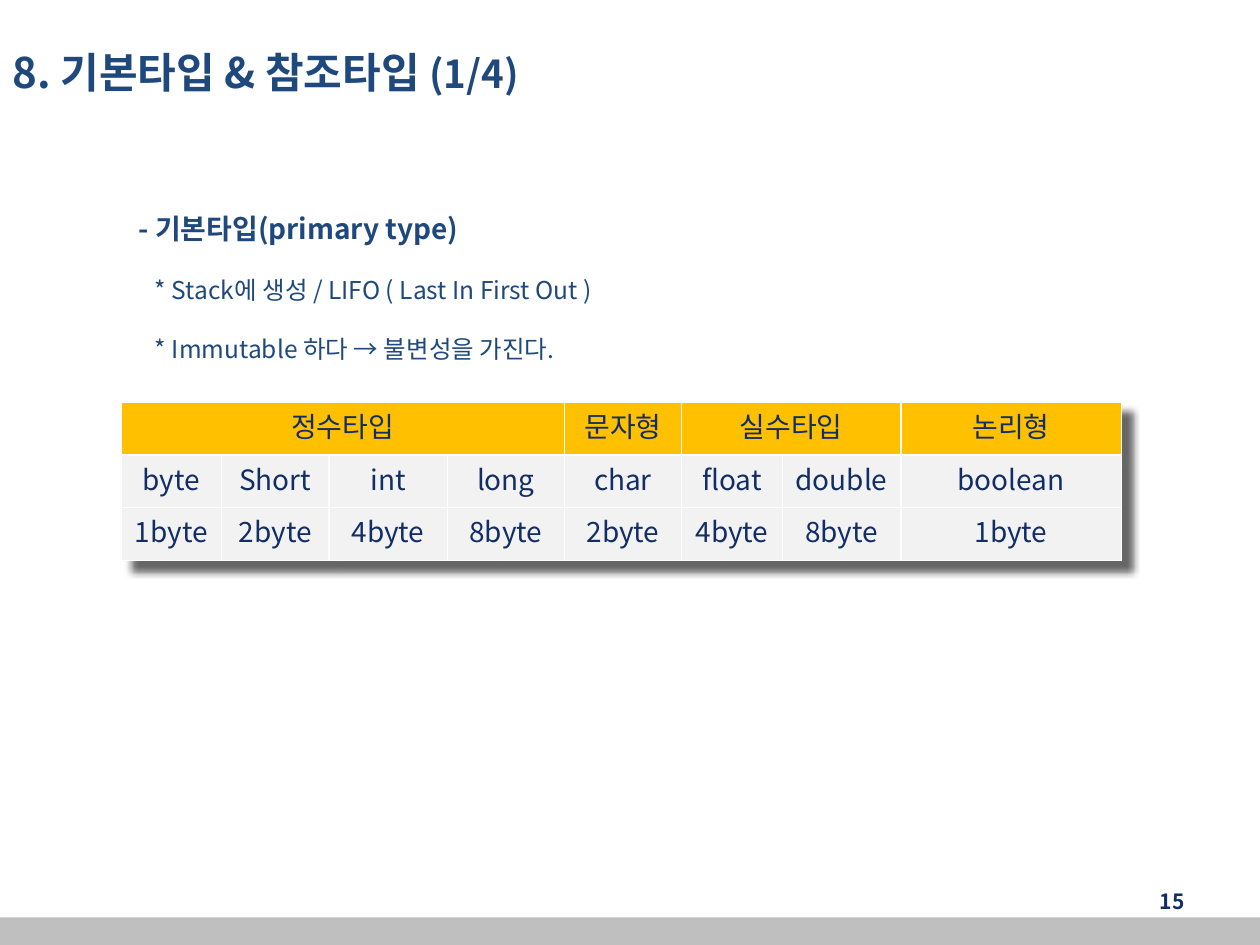
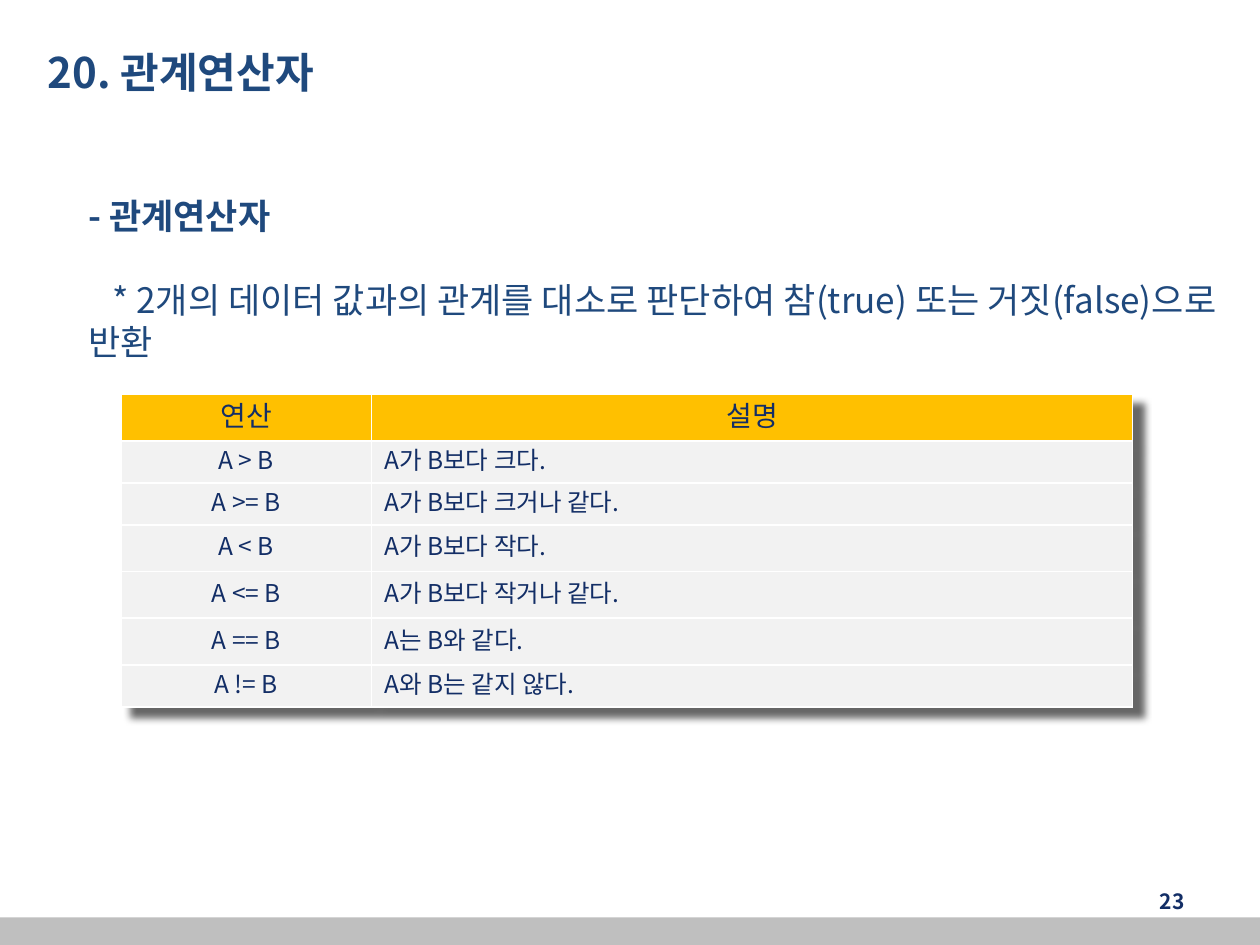
"""Builds two Korean lecture slides on Java types and relational operators."""
from lxml import etree
from pptx import Presentation
from pptx.dml.color import RGBColor
from pptx.enum.shapes import MSO_SHAPE
from pptx.enum.text import MSO_ANCHOR, MSO_AUTO_SIZE, PP_ALIGN
from pptx.oxml import parse_xml
from pptx.oxml.ns import nsdecls, qn
from pptx.util import Inches, Pt

RECT = MSO_SHAPE.RECTANGLE
MIDDLE, TOP = MSO_ANCHOR.MIDDLE, MSO_ANCHOR.TOP
LEFT, CENTER, RIGHT = PP_ALIGN.LEFT, PP_ALIGN.CENTER, PP_ALIGN.RIGHT
NO_AUTOFIT = MSO_AUTO_SIZE.NONE

FONT = "Noto Sans CJK KR"
BLUE = RGBColor(0x1F, 0x49, 0x7D)
NAVY = RGBColor(0x13, 0x2E, 0x66)
AMBER = RGBColor(0xFF, 0xC0, 0x00)
PALE = RGBColor(0xF2, 0xF2, 0xF2)
GRAY = RGBColor(0xBF, 0xBF, 0xBF)
LINE_HEIGHT = 1.2


def style_run(r, size, color, bold=False):
    """Set the font of one run for Latin and Korean letters."""
    r.font.size = Pt(size)
    r.font.bold = bold
    r.font.color.rgb = color
    r.font.name = FONT
    etree.SubElement(r._r.get_or_add_rPr(), qn("a:ea")).set("typeface", FONT)


def place(sp, left, top, width, height):
    """Move and size a shape, in inches."""
    sp.left, sp.top = Inches(left), Inches(top)
    sp.width, sp.height = Inches(width), Inches(height)


def set_title(slide, left, *parts):
    """Fill the title placeholder with (text, size) parts."""
    sp = slide.shapes.title
    place(sp, left, 0.13, 7.17, 0.87)
    tf = sp.text_frame
    tf.auto_size, tf.vertical_anchor = NO_AUTOFIT, MIDDLE
    p = tf.paragraphs[0]
    p.alignment = LEFT
    for text, size in parts:
        r = p.add_run()
        r.text = text
        style_run(r, size, BLUE, True)


def set_body(slide, box, lines, gap):
    """Fill the body with (text, size, margin, first-line indent) lines; the first is bold."""
    sp = slide.placeholders[1]
    place(sp, *box)
    tf = sp.text_frame
    tf.auto_size, tf.vertical_anchor = NO_AUTOFIT, TOP
    tf.text = "\n".join(line[0] for line in lines)
    for i, (p, (_, size, margin, indent)) in enumerate(zip(tf.paragraphs, lines)):
        pPr = p._p.get_or_add_pPr()
        pPr.set("marL", str(Inches(margin)))
        pPr.set("indent", str(Inches(indent)))
        etree.SubElement(pPr, qn("a:buNone"))
        p.alignment = LEFT
        p.line_spacing = Pt(size * LINE_HEIGHT)
        p.space_before = Pt(gap if i else 0)
        style_run(p.runs[0], size, BLUE, i == 0)


def add_footer(slide, number):
    """Draw the bottom band and the page number."""
    band = slide.shapes.add_shape(RECT, 0, Inches(7.28), Inches(10), Inches(0.22))
    band.shadow.inherit = False
    band.fill.solid()
    band.fill.fore_color.rgb = GRAY
    band.line.fill.background()
    sp = slide.shapes.add_textbox(Inches(7.17), Inches(6.95), Inches(2.33), Inches(0.4))
    tf = sp.text_frame
    tf.word_wrap, tf.vertical_anchor = True, MIDDLE
    tf.text = number
    p = tf.paragraphs[0]
    p.alignment = RIGHT
    style_run(p.runs[0], 12, NAVY, True)


def style_cell(cell, fill, size, align):
    """Give a cell white borders, a fill and its text format."""
    tcPr = cell._tc.get_or_add_tcPr()
    for side in ("lnL", "lnR", "lnT", "lnB"):
        tcPr.append(parse_xml(
            f'<a:{side} {nsdecls("a")} w="12700"><a:solidFill>'
            f'<a:srgbClr val="FFFFFF"/></a:solidFill></a:{side}>'))
    cell.fill.solid()
    cell.fill.fore_color.rgb = fill
    cell.vertical_anchor = MIDDLE
    p = cell.text_frame.paragraphs[0]
    p.alignment = align
    p.line_spacing = Pt(size * LINE_HEIGHT)
    for r in p.runs:
        style_run(r, size, NAVY)


def add_shadow(table):
    """Put a soft shadow to the lower right of a table."""
    table._tbl.tblPr.insert(0, parse_xml(
        f'<a:effectLst {nsdecls("a")}><a:outerShdw blurRad="50800" dist="101600" '
        'dir="2700000" algn="tl" rotWithShape="0"><a:srgbClr val="000000">'
        '<a:alpha val="60000"/></a:srgbClr></a:outerShdw></a:effectLst>'))


def add_grid(slide, top, widths, heights, rows, size, aligns, spans=()):
    """Add a table with an amber header; spans are (first, last) header columns."""
    frame = slide.shapes.add_table(len(rows), len(widths), Inches(0.96), Inches(top),
                                   Inches(sum(widths)), Inches(sum(heights)))
    table = frame.table
    table.first_row = table.horz_banding = False
    add_shadow(table)
    for column, width in zip(table.columns, widths):
        column.width = Inches(width)
    for i, (row, height, texts) in enumerate(zip(table.rows, heights, rows)):
        row.height = Inches(height)
        for cell, text, align in zip(row.cells, texts, aligns):
            cell.text = text
            if i == 0:
                style_cell(cell, AMBER, 16, CENTER)
            else:
                style_cell(cell, PALE, size, align)
    for first, last in spans:
        table.cell(0, first).merge(table.cell(0, last))


def add_types_slide(prs):
    """Build the slide on primitive types."""
    slide = prs.slides.add_slide(prs.slide_layouts[1])
    set_title(slide, 0, ("8. 기본타입 & 참조타입 ", 24), ("(1/4)", 22))
    set_body(slide, (1, 1.63, 9, 3.34), [
        ("- 기본타입(primary type)", 16, 0.38, -0.38),
        ("* Stack에 생성 / LIFO ( Last In First Out )", 14, 0.38, -0.25),
        ("* Immutable 하다 → 불변성을 가진다.", 14, 0.38, -0.25),
    ], gap=17)
    add_footer(slide, "15")
    rows = [
        ["정수타입", "", "", "", "문자형", "실수타입", "", "논리형"],
        ["byte", "Short", "int", "long", "char", "float", "double", "boolean"],
        [f"{n}byte" for n in (1, 2, 4, 8, 2, 4, 8, 1)],
    ]
    widths = [0.8, 0.85, 0.94, 0.93, 0.93, 0.8, 0.94, 1.75]
    add_grid(slide, 3.19, widths, [0.42] * 3, rows, 16, [CENTER] * 8, [(0, 3), (5, 6)])


def add_operators_slide(prs):
    """Build the slide on relational operators."""
    slide = prs.slides.add_slide(prs.slide_layouts[1])
    set_title(slide, 0.28, ("20. 관계연산자", 24))
    set_body(slide, (0.1, 1.49, 9.78, 1.45), [
        ("- 관계연산자", 20, 0.5, 0),
        ("* 2개의 데이터 값과의 관계를 대소로 판단하여 참(true) 또는 거짓(false)으로 반환",
         20, 0.5, 0.19),
    ], gap=24)
    add_footer(slide, "23")
    rows = [
        ("연산", "설명"),
        ("A > B", "A가 B보다 크다."),
        ("A >= B", "A가 B보다 크거나 같다."),
        ("A < B", "A가 B보다 작다."),
        ("A <= B", "A가 B보다 작거나 같다."),
        ("A == B", "A는 B와 같다."),
        ("A != B", "A와 B는 같지 않다."),
    ]
    heights = [0.37, 0.33, 0.33, 0.37, 0.37, 0.37, 0.33]
    add_grid(slide, 3.13, [1.99, 6.04], heights, rows, 14, [CENTER, LEFT])


def main():
    """Build and save the deck."""
    prs = Presentation()
    prs.slide_width, prs.slide_height = Inches(10), Inches(7.5)
    add_types_slide(prs)
    add_operators_slide(prs)
    prs.save("out.pptx")


if __name__ == "__main__":
    main()
